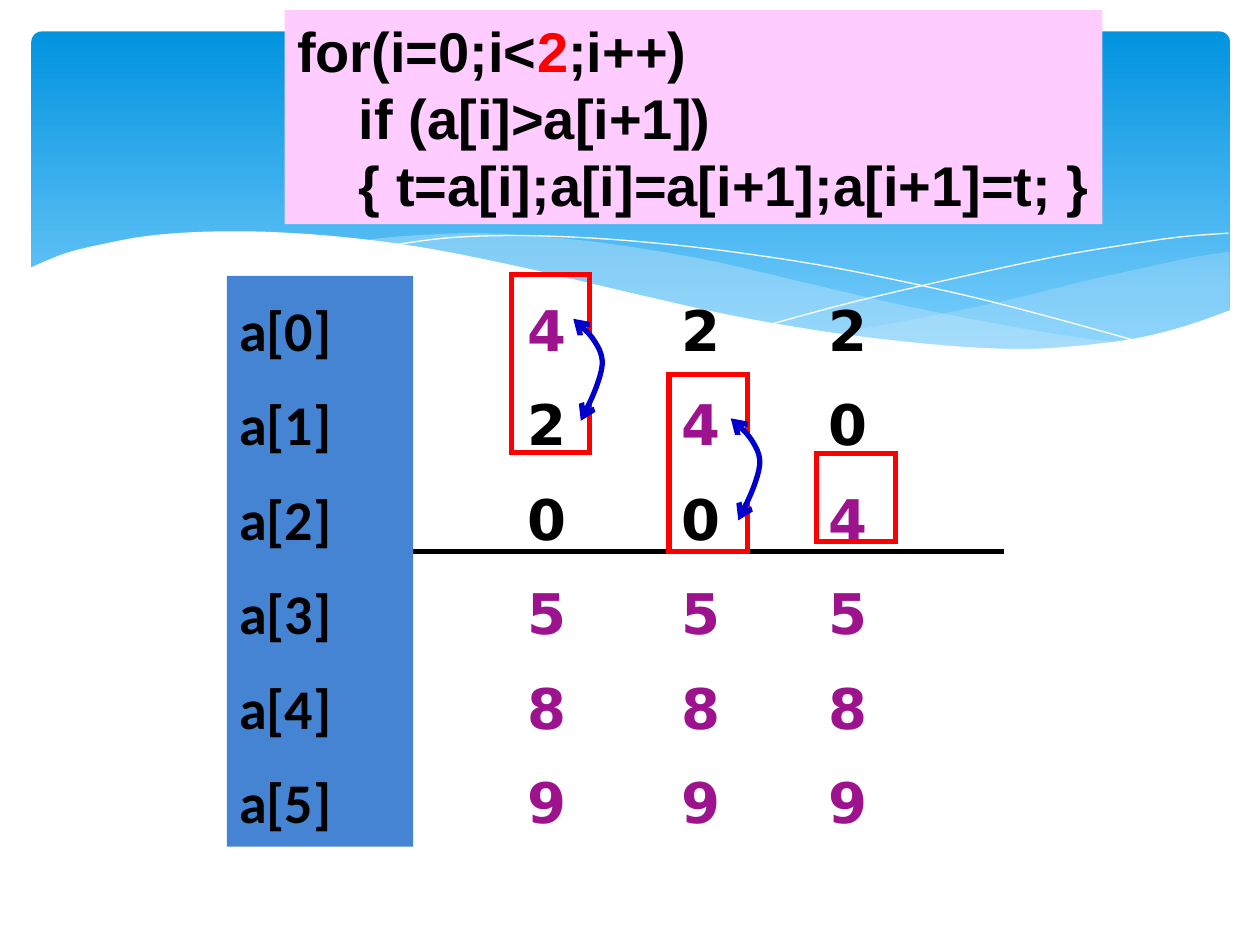
from dataclasses import dataclass

from lxml import etree
from pptx import Presentation
from pptx.dml.color import RGBColor
from pptx.enum.shapes import MSO_CONNECTOR, MSO_SHAPE
from pptx.enum.text import MSO_ANCHOR, PP_ALIGN
from pptx.oxml.ns import qn
from pptx.util import Inches, Pt

RECT = MSO_SHAPE.RECTANGLE
ROUND = MSO_SHAPE.ROUNDED_RECTANGLE
FRAME = MSO_SHAPE.FLOWCHART_PROCESS
STRAIGHT = MSO_CONNECTOR.STRAIGHT
TOP = MSO_ANCHOR.TOP
LEFT = PP_ALIGN.LEFT

Point = tuple[float, float]
Edge = list[Point]


@dataclass(frozen=True)
class Theme:
    black: str = "000000"
    white: str = "FFFFFF"
    red: str = "FF0000"
    blue: str = "0000CC"
    done: str = "9D138D"
    label: str = "4584D3"
    code: str = "FFCCFF"
    wave: str = "C6E7FC"
    sky: tuple[str, str] = ("0293E0", "83D3FE")
    size: float = 32
    stroke: float = 3
    code_line: float = 38.4
    row_line: float = 46
    row_gap: float = 8
    first_gap: float = 2


@dataclass(frozen=True)
class Wave:
    """A band or line through smooth edges; no fill means a thin white line."""
    edges: list[Edge]
    fill: str | None = None
    alpha: int = 100


@dataclass(frozen=True)
class Pass:
    """One column of values, the frame on it and the colour marks of its rows."""
    left: float
    values: str
    marked: str
    frame: tuple[float, float, float, float]
    swap: bool = True


T = Theme()
ROWS_TOP, ROWS_HIGH = 2.19, 4.53
BEND = [(0.55, 1.16), (0.67, 0.9), (0.72, 0.68), (0.64, 0.5), (0.49, 0.35)]

WAVES = [
    Wave([[(9.76, 2), (9.48, 2.04), (9.06, 2.13), (8.61, 2.23), (8.05, 2.37),
           (7.53, 2.48), (7.06, 2.57), (6.61, 2.65)],
          [(6.61, 2.65), (7.05, 2.71), (7.45, 2.75), (7.92, 2.77), (8.35, 2.77),
           (8.72, 2.74), (9.05, 2.69), (9.35, 2.62), (9.63, 2.52), (9.76, 2.47)]],
         T.wave, 29),
    Wave([[(8.93, 2.73), (8.37, 2.65), (7.75, 2.54), (7.06, 2.4), (6.29, 2.22),
           (5.69, 2.08), (5.14, 1.98), (4.64, 1.91), (4.2, 1.87), (3.8, 1.85),
           (3.44, 1.86), (3.13, 1.88), (2.86, 1.91)],
          [(2.86, 1.91), (3.42, 1.99), (4.04, 2.11), (4.91, 2.32), (5.66, 2.48),
           (6.34, 2.61), (6.95, 2.7), (7.48, 2.76), (8.07, 2.79), (8.57, 2.77),
           (8.93, 2.73)]], T.wave, 40),
    Wave([[(3.09, 1.95), (3.53, 1.89), (4.01, 1.87), (4.5, 1.88), (5.1, 1.92),
           (5.82, 2), (6.65, 2.13), (7.6, 2.33), (8.31, 2.51), (9.07, 2.72)]]),
    Wave([[(6.13, 2.57), (6.72, 2.41), (7.48, 2.23), (8.36, 2.04), (8.95, 1.94),
           (9.37, 1.88), (9.75, 1.85)]]),
    Wave([[(9.77, 2.46), (9.4, 2.59), (8.99, 2.69), (8.5, 2.75), (8.09, 2.77),
           (7.61, 2.75), (7.08, 2.7), (6.47, 2.62), (5.79, 2.5), (5.03, 2.33),
           (4.18, 2.13), (3.39, 1.97), (2.71, 1.88), (2.11, 1.84), (1.61, 1.84),
           (1.19, 1.87), (0.85, 1.93), (0.52, 2.01), (0.23, 2.13)],
          [(0.23, 3.29), (9.77, 3.29)]], T.white),
]

PASSES = [
    Pass(4.09, "420589", "4589", (4.06, 2.18, 0.62, 1.41)),
    Pass(5.31, "240589", "4589", (5.31, 2.97, 0.62, 1.41)),
    Pass(6.48, "204589", "4589", (6.48, 3.6, 0.63, 0.7), swap=False),
]

CODE = [
    (0, [("for(i=0;i<", T.black), ("2", T.red), (";i++)", T.black)]),
    (0.49, [("if (a[i]>a[i+1])", T.black)]),
    (0.49, [("{ t=a[i];a[i]=a[i+1];a[i+1]=t; }", T.black)]),
]


def rgb(code: str) -> RGBColor:
    return RGBColor.from_string(code)


def paint(shape, fill: str | None = None, line: str | None = None,
          width: float = T.stroke) -> None:
    shape.shadow.inherit = False
    if fill:
        shape.fill.solid()
        shape.fill.fore_color.rgb = rgb(fill)
    else:
        shape.fill.background()
    if line:
        shape.line.color.rgb = rgb(line)
        shape.line.width = Pt(width)
        etree.SubElement(shape.line._get_or_add_ln(), qn("a:miter"), lim="800000")
    else:
        shape.line.fill.background()


def add_box(slide, kind, box: tuple, fill: str | None = None,
            line: str | None = None):
    shape = slide.shapes.add_shape(kind, *map(Inches, box))
    paint(shape, fill, line)
    return shape


def smooth(edge: Edge, steps: int = 5) -> Edge:
    """Pass a Catmull-Rom curve through the points of an edge."""
    if len(edge) < 3:
        return edge
    ends = [edge[0], *edge, edge[-1]]
    curve = [edge[0]]
    for a, b, c, d in zip(ends, ends[1:], ends[2:], ends[3:]):
        for t in (n / steps for n in range(1, steps + 1)):
            curve.append(tuple(
                b[i] + t * (c[i] - a[i]) / 2
                + t**2 * (2 * a[i] - 5 * b[i] + 4 * c[i] - d[i]) / 2
                + t**3 * (3 * b[i] - a[i] - 3 * c[i] + d[i]) / 2
                for i in (0, 1)))
    return curve


def trace(slide, points: Edge, close: bool):
    first, *rest = [(Inches(x), Inches(y)) for x, y in points]
    pen = slide.shapes.build_freeform(*first)
    pen.add_line_segments(rest, close=close)
    return pen.convert_to_shape()


def draw_wave(slide, wave: Wave) -> None:
    points = [point for edge in wave.edges for point in smooth(edge)]
    shape = trace(slide, points, close=bool(wave.fill))
    paint(shape, wave.fill, None if wave.fill else T.white, 0)
    if wave.alpha < 100:
        tint = shape.fill._xPr.find(".//" + qn("a:srgbClr"))
        etree.SubElement(tint, qn("a:alpha"), val=str(wave.alpha * 1000))


def draw_swap(slide, left: float, top: float) -> None:
    """Draw the two-headed arrow on the right side of a frame."""
    points = smooth([(left + x, top + y) for x, y in BEND])
    shape = trace(slide, points, close=False)
    paint(shape, T.white, T.blue)
    for end in ("a:headEnd", "a:tailEnd"):
        etree.SubElement(shape.line._get_or_add_ln(), qn(end), type="arrow")


def style(run, font: str, color: str) -> None:
    run.font.name = font
    run.font.size = Pt(T.size)
    run.font.bold = True
    run.font.color.rgb = rgb(color)


def fill_rows(shape, rows: list[tuple[str, str]], font: str) -> None:
    frame = shape.text_frame
    frame.word_wrap = True
    frame.vertical_anchor = TOP
    frame.text = "\n".join(text for text, _ in rows)
    for n, (para, (_, color)) in enumerate(zip(frame.paragraphs, rows)):
        para.alignment = LEFT
        para.line_spacing = Pt(T.row_line)
        para.space_before = Pt(T.row_gap if n else T.first_gap)
        style(para.runs[0], font, color)


def draw_pass(slide, item: Pass) -> None:
    box = (item.left, ROWS_TOP, 0.78, ROWS_HIGH)
    shape = slide.shapes.add_textbox(*map(Inches, box))
    rows = [(v, T.done if v in item.marked else T.black) for v in item.values]
    fill_rows(shape, rows, "DejaVu Sans")
    add_box(slide, FRAME, item.frame, line=T.red)
    if item.swap:
        draw_swap(slide, *item.frame[:2])


def draw_code(slide) -> None:
    frame = add_box(slide, RECT, (2.26, 0.08, 6.49, 1.7), T.code).text_frame
    frame.word_wrap = False
    frame.vertical_anchor = TOP
    for n, (indent, parts) in enumerate(CODE):
        para = frame.add_paragraph() if n else frame.paragraphs[0]
        para.alignment = LEFT
        para.line_spacing = Pt(T.code_line)
        para._p.get_or_add_pPr().set("marL", str(Inches(indent)))
        for text, color in parts:
            run = para.add_run()
            run.text = text
            style(run, "Arial", color)


def draw_sky(slide) -> None:
    sky = add_box(slide, ROUND, (0.25, 0.25, 9.51, 2.7))
    sky.adjustments[0] = 0.03
    sky.fill.gradient()
    sky.fill.gradient_angle = 270
    for n, (stop, color) in enumerate(zip(sky.fill.gradient_stops, T.sky)):
        stop.color.rgb = rgb(color)
        stop.position = n
    for wave in WAVES:
        draw_wave(slide, wave)


def draw_rule(slide) -> None:
    ends = map(Inches, (3.28, 4.38, 7.97, 4.38))
    rule = slide.shapes.add_connector(STRAIGHT, *ends)
    rule.line.color.rgb = rgb(T.black)
    rule.line.width = Pt(T.stroke)
    etree.SubElement(rule._element.spPr, qn("a:effectLst"))


def main() -> None:
    deck = Presentation()
    deck.slide_width, deck.slide_height = Inches(10), Inches(7.5)
    slide = deck.slides.add_slide(deck.slide_layouts[6])
    draw_sky(slide)
    draw_rule(slide)
    for item in PASSES:
        draw_pass(slide, item)
    label = add_box(slide, RECT, (1.8, ROWS_TOP, 1.48, ROWS_HIGH), T.label)
    fill_rows(label, [(f"a[{n}]", T.black) for n in range(6)], "Calibri")
    draw_code(slide)
    deck.save("out.pptx")


if __name__ == "__main__":
    main()
